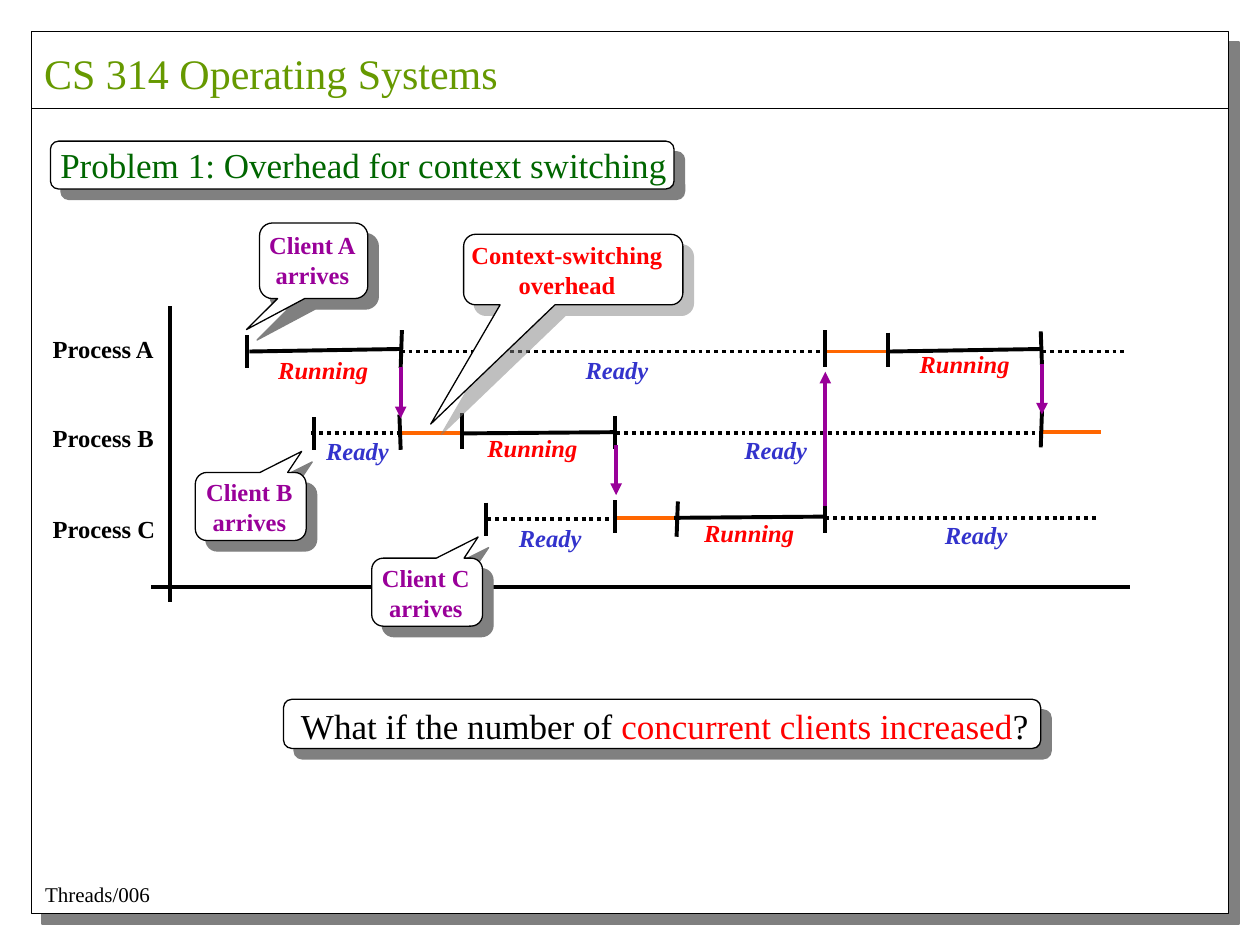
"""Build a slide on the cost of context switching between three processes."""
from dataclasses import dataclass
from itertools import cycle

from lxml import etree
from pptx import Presentation
from pptx.dml.color import RGBColor
from pptx.enum.dml import MSO_LINE
from pptx.enum.shapes import MSO_CONNECTOR, MSO_SHAPE
from pptx.enum.text import MSO_ANCHOR, MSO_AUTO_SIZE, PP_ALIGN
from pptx.oxml.ns import qn
from pptx.util import Pt

PX = 9144
FONT = "Times New Roman"
RECT = MSO_SHAPE.RECTANGLE
ROUND = MSO_SHAPE.ROUNDED_RECTANGLE
BUBBLE = MSO_SHAPE.ROUNDED_RECTANGULAR_CALLOUT
LINE = MSO_CONNECTOR.STRAIGHT
DOTS = MSO_LINE.ROUND_DOT
TOP = MSO_ANCHOR.TOP
GROW = MSO_AUTO_SIZE.SHAPE_TO_FIT_TEXT
LEFT, MID = PP_ALIGN.LEFT, PP_ALIGN.CENTER

COLORS = {
    "white": "FFFFFF", "black": "000000", "gray": "808080",
    "olive": "669900", "green": "006600", "purple": "990099",
    "red": "FF0000", "blue": "3333CC", "orange": "FF6600",
}


@dataclass
class Box:
    x: int
    y: int
    w: int
    h: int


@dataclass
class Callout:
    box: Box
    label: Box
    text: str
    hue: str
    tip: tuple[float, float]
    alpha: int = 100


@dataclass
class State:
    x: int
    y: int
    name: str


@dataclass
class Seg:
    x1: int
    y1: int
    x2: int
    y2: int


CLIENTS = [
    Callout(Box(155, 375, 88, 54), Box(153, 374, 90, 57),
            "Client B\narrives", "purple", (0.46, -0.81)),
    Callout(Box(206, 177, 86, 60), Box(203, 178, 90, 57),
            "Client A\narrives", "purple", (-0.62, 0.91)),
    Callout(Box(295, 443, 88, 54), Box(293, 442, 90, 57),
            "Client C\narrives", "purple", (0.46, -0.81)),
]
SWITCH = Callout(Box(368, 186, 174, 56), Box(360, 186, 180, 57),
                 "Context-switching\noverhead", "red", (-0.65, 2.19), 50)
STATES = [
    State(211, 277, "Running"), State(377, 339, "Running"),
    State(549, 406, "Running"), State(720, 272, "Running"),
    State(249, 341, "Ready"), State(455, 277, "Ready"),
    State(581, 340, "Ready"), State(740, 408, "Ready"),
    State(402, 410, "Ready"),
]
LOOKS = {"Running": (96, "red"), "Ready": (73, "blue")}
AXES = [Seg(135, 243, 135, 478), Seg(120, 466, 897, 466)]
WAITS = [
    Seg(247, 344, 319, 344), Seg(318, 279, 654, 279),
    Seg(489, 344, 825, 344), Seg(655, 411, 871, 411),
    Seg(387, 412, 489, 412), Seg(827, 279, 894, 279),
]
COSTS = [
    Seg(318, 344, 365, 344), Seg(489, 411, 536, 411),
    Seg(656, 279, 704, 279), Seg(827, 343, 874, 343),
]
RUNS = [
    Seg(198, 279, 318, 277), Seg(367, 344, 488, 343),
    Seg(535, 411, 656, 410), Seg(706, 279, 827, 277),
]
HOPS = [
    Seg(318, 291, 318, 332), Seg(489, 353, 489, 393),
    Seg(655, 402, 655, 295), Seg(827, 289, 827, 329),
]
TICKS = [
    Seg(196, 266, 196, 292), Seg(319, 262, 318, 292),
    Seg(655, 262, 655, 291), Seg(705, 264, 705, 291),
    Seg(826, 263, 827, 290), Seg(249, 331, 249, 357),
    Seg(317, 329, 318, 357), Seg(367, 328, 367, 356),
    Seg(488, 330, 488, 356), Seg(827, 326, 826, 355),
    Seg(386, 399, 386, 425), Seg(488, 397, 488, 423),
    Seg(538, 398, 537, 426), Seg(655, 397, 655, 423),
]


def tint(hue: str) -> RGBColor:
    return RGBColor.from_string(COLORS[hue])


def place(box: Box) -> list[int]:
    return [n * PX for n in (box.x, box.y, box.w, box.h)]


def write(shape, text: str, *hues: str, size: int = 14, bold: bool = False,
          slant: bool = False, align=LEFT) -> None:
    frame = shape.text_frame
    frame.word_wrap = False
    frame.auto_size = GROW
    frame.vertical_anchor = TOP
    for i, line in enumerate(text.split("\n")):
        para = frame.add_paragraph() if i else frame.paragraphs[0]
        para.alignment = align
        for part, hue in zip(line.split("|"), cycle(hues)):
            run = para.add_run()
            run.text = part
            font = run.font
            font.name, font.size = FONT, Pt(size)
            font.bold, font.italic = bold, slant
            font.color.rgb = tint(hue)


def label(slide, box: Box, text: str, *hues: str, **form) -> None:
    write(slide.shapes.add_textbox(*place(box)), text, *hues, **form)


def panel(slide, kind, box: Box, *adjust: float, alpha: int = 100):
    shape = slide.shapes.add_shape(kind, *place(box))
    for i, val in enumerate(adjust):
        shape.adjustments[i] = val
    shape.fill.solid()
    shape.fill.fore_color.rgb = tint("white")
    shape.line.color.rgb = tint("black")
    shape.line.width = Pt(0.75)
    shape.shadow.inherit = False
    glow = shape.element.spPr.find(qn("a:effectLst"))
    shade = etree.SubElement(glow, qn("a:outerShdw"), dist=str(Pt(8.5)),
                             dir="2700000", algn="ctr", rotWithShape="0")
    color = etree.SubElement(shade, qn("a:srgbClr"), val=COLORS["gray"])
    etree.SubElement(color, qn("a:alpha"), val=str(alpha * 1000))
    return shape


def draw(slide, seg: Seg, hue: str = "black", width: float = 2.25,
         dash=None, arrow: bool = False) -> None:
    ends = [n * PX for n in (seg.x1, seg.y1, seg.x2, seg.y2)]
    link = slide.shapes.add_connector(LINE, *ends)
    link.line.color.rgb = tint(hue)
    link.line.width = Pt(width)
    if dash:
        link.line.dash_style = dash
    props = link.element.spPr
    if arrow:
        etree.SubElement(props.find(qn("a:ln")), qn("a:tailEnd"), type="triangle")
    etree.SubElement(props, qn("a:effectLst"))


def speak(slide, call: Callout) -> None:
    panel(slide, BUBBLE, call.box, *call.tip, 0.17, alpha=call.alpha)
    label(slide, call.label, call.text, call.hue, bold=True, align=MID)


def main() -> None:
    deck = Presentation()
    deck.slide_width, deck.slide_height = 1000 * PX, 750 * PX
    slide = deck.slides.add_slide(deck.slide_layouts[5])
    title = slide.shapes.title
    back = panel(slide, RECT, Box(25, 25, 950, 700))
    back.element.addnext(title.element)
    title.left, title.top, title.width, title.height = place(Box(25, 33, 400, 50))
    write(title, "CS 314 Operating Systems", "olive", size=24)
    draw(slide, Seg(25, 86, 975, 86), width=0.75)
    label(slide, Box(26, 695, 108, 30), "Threads/006", "black", size=12)

    panel(slide, ROUND, Box(40, 112, 495, 38), 0.17)
    label(slide, Box(38, 109, 515, 44),
          "Problem 1: Overhead for context switching", "green", size=20)
    panel(slide, ROUND, Box(225, 555, 601, 39), 0.17)
    label(slide, Box(229, 554, 605, 44),
          "What if the number of |concurrent clients increased|?",
          "black", "red", size=20)

    for seg in AXES:
        draw(slide, seg)
    for row, name in enumerate("ABC"):
        label(slide, Box(32, 260 + row * 143 // 2, 106, 34),
              f"Process {name}", "black", bold=True)
    for call in CLIENTS:
        speak(slide, call)
    for seg in WAITS:
        draw(slide, seg, dash=DOTS)
    for seg in COSTS:
        draw(slide, seg, "orange")
    for seg in RUNS + TICKS:
        draw(slide, seg)
    for seg in HOPS:
        draw(slide, seg, "purple", arrow=True)
    for state in STATES:
        width, hue = LOOKS[state.name]
        label(slide, Box(state.x, state.y, width, 34), state.name, hue,
              bold=True, slant=True)
    speak(slide, SWITCH)
    deck.save("out.pptx")


if __name__ == "__main__":
    main()
